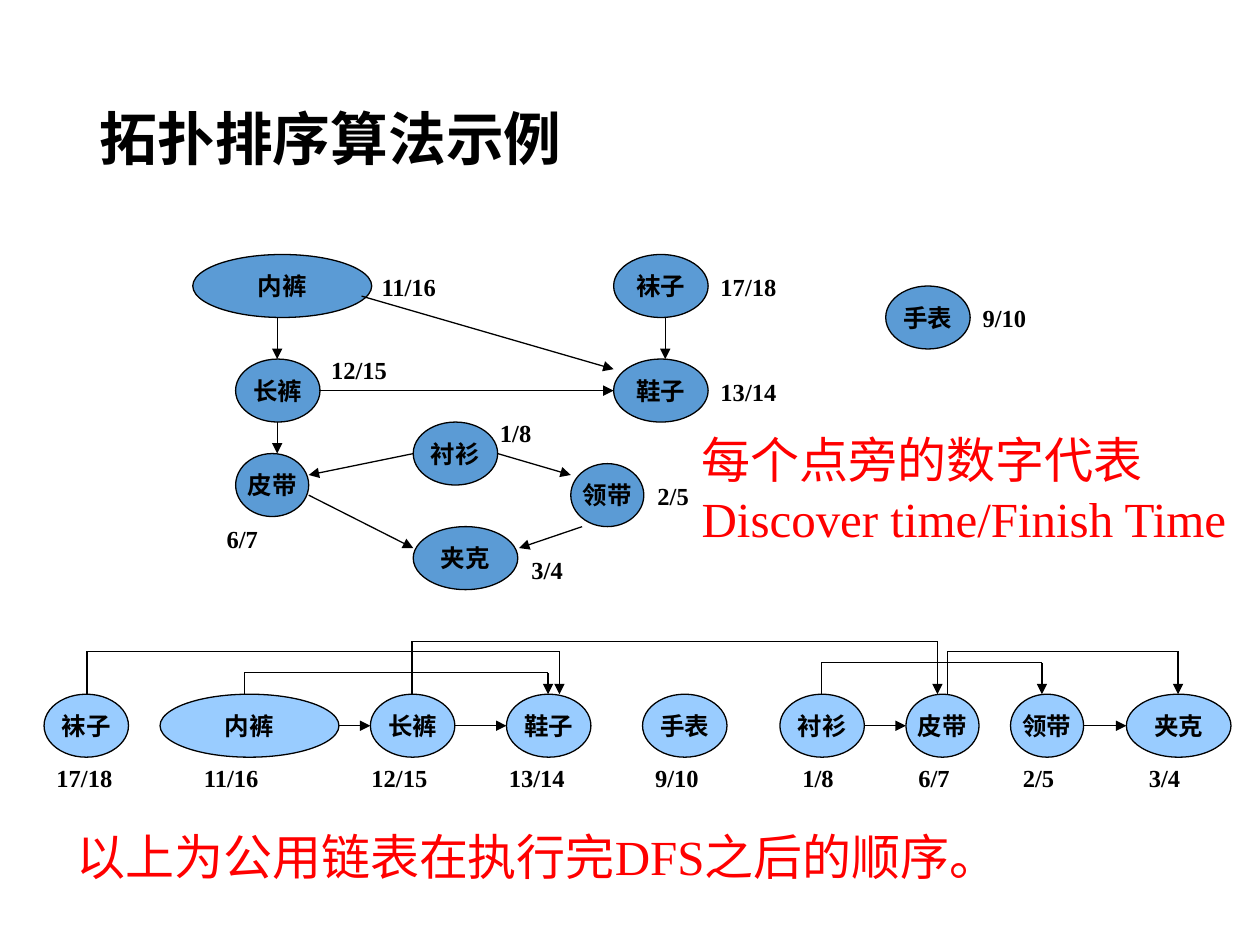
from dataclasses import dataclass

from lxml.etree import SubElement
from pptx import Presentation
from pptx.dml.color import RGBColor as RGB
from pptx.enum.shapes import MSO_CONNECTOR as LINK, MSO_SHAPE as SHAPE
from pptx.enum.text import MSO_ANCHOR as ANCHOR, MSO_AUTO_SIZE as FIT, PP_ALIGN as ALIGN
from pptx.oxml.ns import qn
from pptx.util import Inches, Pt


@dataclass(frozen=True)
class Theme:
    ink: RGB = RGB(0, 0, 0)
    red: RGB = RGB(255, 0, 0)
    blue: RGB = RGB(0x5B, 0x9B, 0xD5)
    pale: RGB = RGB(0x99, 0xCC, 0xFF)
    latin: str = "Times New Roman"
    asian: str = "Noto Sans CJK SC"
    head: int = 33
    note: int = 28
    node: int = 14
    line: float = 0.75


def assign(item, values):
    for key, value in values.items():
        setattr(item, key, value)


class Canvas:
    def __init__(self, slide, theme):
        self.slide, self.theme = slide, theme
        self.shapes = slide.shapes

    def group(self):
        """Send the next elements into a new group."""
        self.shapes = self.slide.shapes.add_group_shape().shapes

    def leave(self):
        """Send the next elements straight to the slide."""
        self.shapes = self.slide.shapes

    def letter(self, shape, text, size, color, bold=True, font=None, frame=None, para=None):
        """Put one formatted line of text into the shape."""
        body = shape.text_frame
        assign(body, frame or {})
        line = body.paragraphs[0]
        assign(line, para or {})
        run = line.add_run()
        run.text = text
        assign(run.font, {"name": font or self.theme.latin, "size": Pt(size), "bold": bold})
        run.font.color.rgb = color
        SubElement(run._r.get_or_add_rPr(), qn("a:ea"), typeface=self.theme.asian)

    def title(self, text, *box):
        shape = self.slide.shapes.title
        assign(shape, dict(zip(("left", "top", "width", "height"), map(Inches, box))))
        self.letter(shape, text, self.theme.head, self.theme.ink, font=self.theme.asian,
                    frame={"vertical_anchor": ANCHOR.MIDDLE, "auto_size": FIT.NONE},
                    para={"alignment": ALIGN.LEFT, "line_spacing": 0.9})

    def stroke(self, line):
        line.color.rgb = self.theme.ink
        line.width = Pt(self.theme.line)

    def node(self, name, x, y, width, fill):
        shape = self.shapes.add_shape(SHAPE.OVAL, *map(Inches, (x, y, width, TALL)))
        shape.shadow.inherit = False
        shape.fill.solid()
        shape.fill.fore_color.rgb = fill
        self.stroke(shape.line)
        self.letter(shape, name, self.theme.node, self.theme.ink,
                    frame={"vertical_anchor": ANCHOR.MIDDLE, "word_wrap": False},
                    para={"alignment": ALIGN.CENTER})

    def label(self, text, x, y):
        width = 0.17 + 0.095 * len(text)
        box = self.shapes.add_textbox(*map(Inches, (x, y, width, 0.33)))
        self.letter(box, text, self.theme.node, self.theme.ink,
                    frame={"word_wrap": False, "auto_size": FIT.SHAPE_TO_FIT_TEXT})

    def note(self, text, *box):
        shape = self.shapes.add_textbox(*map(Inches, box))
        self.letter(shape, text, self.theme.note, self.theme.red, bold=False,
                    frame={"word_wrap": True, "auto_size": FIT.SHAPE_TO_FIT_TEXT})

    def link(self, *ends, arrow=True):
        line = self.shapes.add_connector(LINK.STRAIGHT, *map(Inches, ends))
        self.stroke(line.line)
        if arrow:
            SubElement(line.line._get_or_add_ln(), qn("a:tailEnd"), type="triangle")
        SubElement(line._element.spPr, qn("a:effectLst"))

    def bridge(self, start, end, top, base):
        """Rise from start, cross at top and drop with an arrow onto end."""
        self.link(start, base, start, top, arrow=False)
        self.link(start, top, end, top, arrow=False)
        self.link(end, top, end, base)


TALL = 0.5
ROW = 5.51

# name: discover/finish time
TIMES = {"内裤": "11/16", "袜子": "17/18", "长裤": "12/15", "鞋子": "13/14", "皮带": "6/7",
         "衬衫": "1/8", "领带": "2/5", "夹克": "3/4", "手表": "9/10"}

# name, node x, y and width, label x and y
GRAPH = [
    ("内裤", 1.53, 2.02, 1.42, 2.93, 2.11),
    ("袜子", 4.87, 2.02, 0.75, 5.62, 2.11),
    ("长裤", 1.87, 2.85, 0.67, 2.53, 2.77),
    ("鞋子", 4.87, 2.85, 0.75, 5.62, 2.94),
    ("皮带", 1.87, 3.6, 0.58, 1.7, 4.11),
    ("衬衫", 3.28, 3.35, 0.67, 3.87, 3.27),
    ("领带", 4.53, 3.68, 0.58, 5.12, 3.77),
    ("夹克", 3.28, 4.18, 0.83, 4.12, 4.36),
    ("手表", 7.03, 2.27, 0.67, 7.7, 2.36),
]
EDGES = [
    (2.2, 2.52, 2.2, 2.85), (2.2, 3.35, 2.2, 3.6), (2.53, 3.1, 4.87, 3.1),
    (3.28, 3.6, 2.45, 3.77), (3.95, 3.6, 4.53, 3.77), (4.62, 4.18, 4.12, 4.35),
    (2.87, 2.35, 4.87, 2.93), (5.28, 2.52, 5.28, 2.85),
]

# name, node x and width, label x, arrow to the next node
ORDER = [
    ("袜子", 0.35, 0.67, 0.35, False),
    ("内裤", 1.27, 1.42, 1.52, True),
    ("长裤", 2.94, 0.67, 2.85, True),
    ("鞋子", 4.02, 0.67, 3.94, False),
    ("手表", 5.1, 0.67, 5.1, False),
    ("衬衫", 6.19, 0.67, 6.27, True),
    ("皮带", 7.19, 0.58, 7.19, False),
    ("领带", 8.02, 0.58, 8.02, True),
    ("夹克", 8.94, 0.83, 9.02, False),
]
# start x, end x, top
BRIDGES = [(1.94, 4.35, 5.34), (0.69, 4.44, 5.17), (3.27, 7.44, 5.09),
           (7.52, 9.35, 5.17), (6.52, 8.27, 5.26)]


def main():
    deck = Presentation()
    assign(deck, {"slide_width": Inches(10), "slide_height": Inches(7.5)})
    theme = Theme()
    art = Canvas(deck.slides.add_slide(deck.slide_layouts[5]), theme)
    art.title("拓扑排序算法示例", 0.69, 0.4, 8.62, 1.45)

    art.group()
    for name, x, y, width, *_ in GRAPH:
        art.node(name, x, y, width, theme.blue)
    for edge in EDGES:
        art.link(*edge)
    for name, *_, x, y in GRAPH:
        art.label(TIMES[name], x, y)

    art.group()
    for name, x, width, *_ in ORDER:
        art.node(name, x, ROW, width, theme.pale)
    mid = ROW + TALL / 2
    for (_, x, width, _, joined), after in zip(ORDER, ORDER[1:]):
        if joined:
            art.link(x + width, mid, after[1], mid)
    for start, end, top in BRIDGES:
        art.bridge(start, end, top, ROW)
    for name, _, _, x, _ in ORDER:
        art.label(TIMES[name], x, ROW + TALL)

    art.leave()
    art.link(2.45, 3.93, 3.28, 4.35)
    art.note("以上为公用链表在执行完DFS之后的顺序。", 0.51, 6.51, 9.06, 0.57)
    art.note("每个点旁的数字代表Discover time/Finish Time", 5.47, 3.36, 4.41, 1.03)
    deck.save("out.pptx")


if __name__ == "__main__":
    main()
